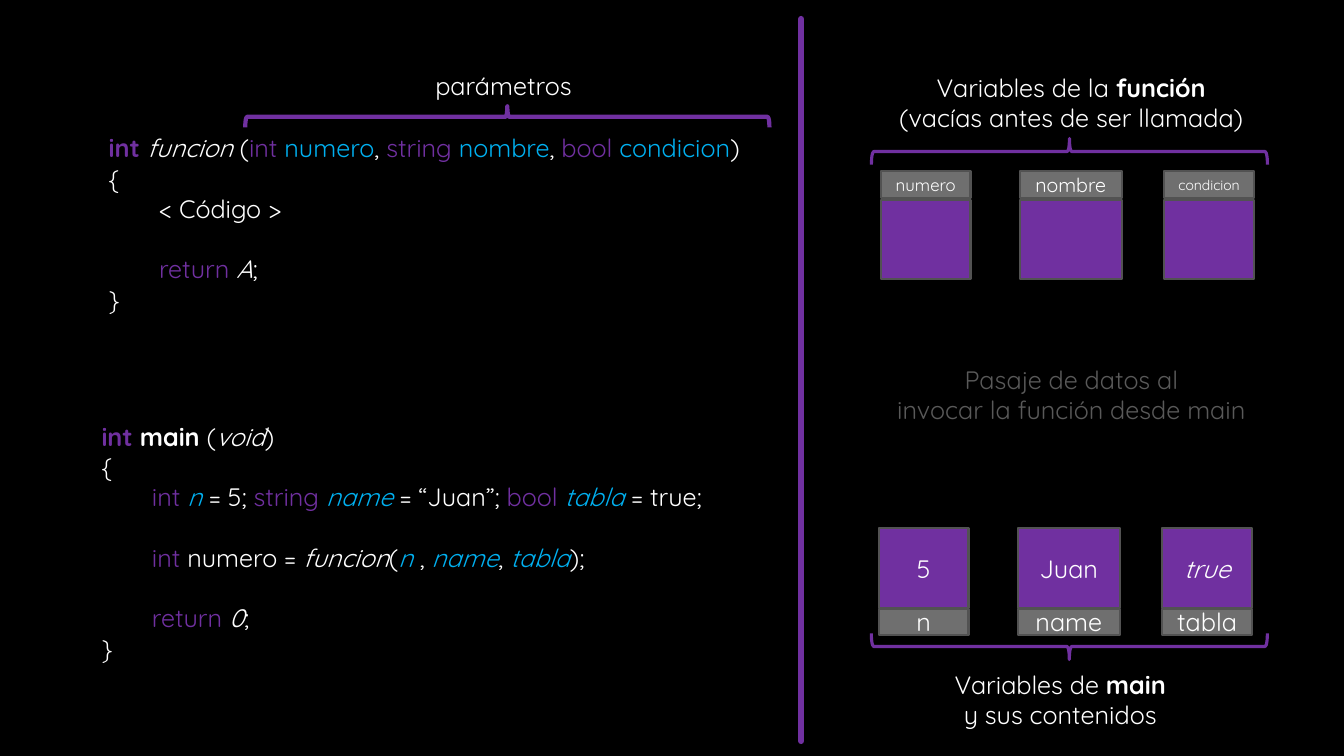
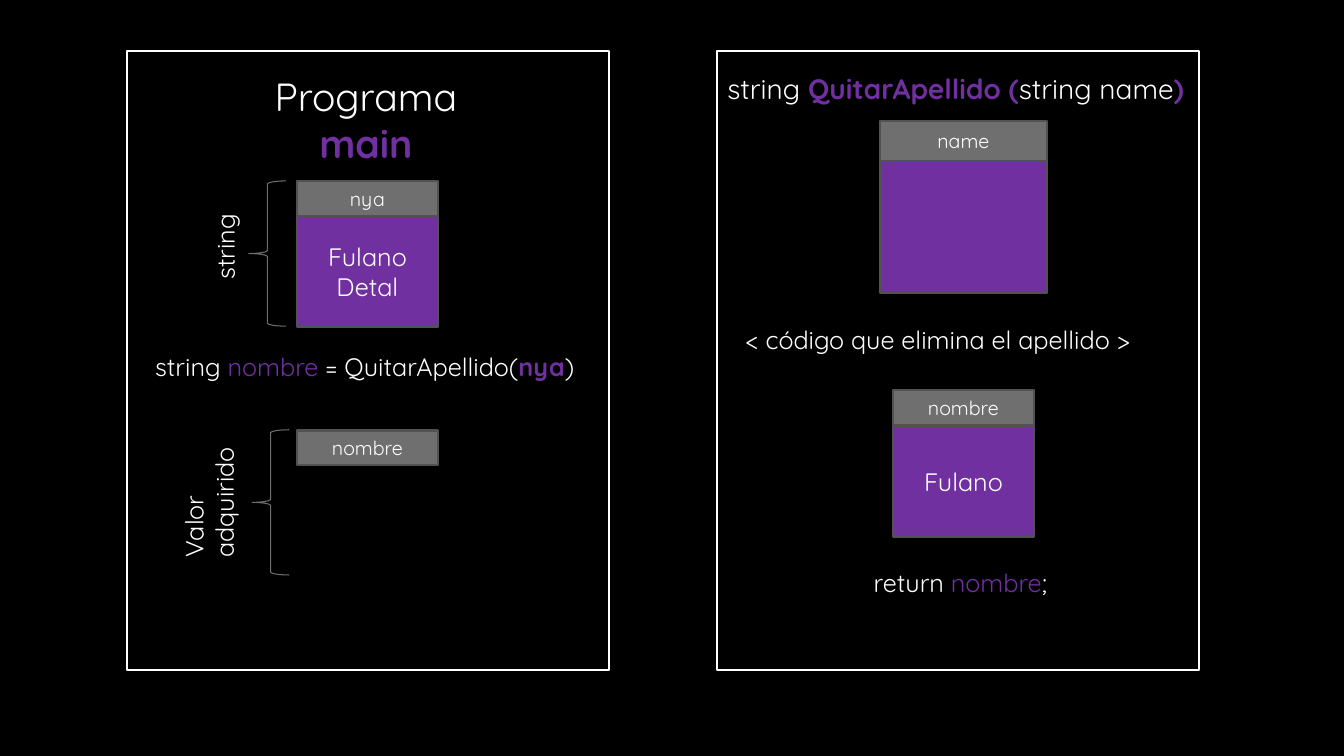
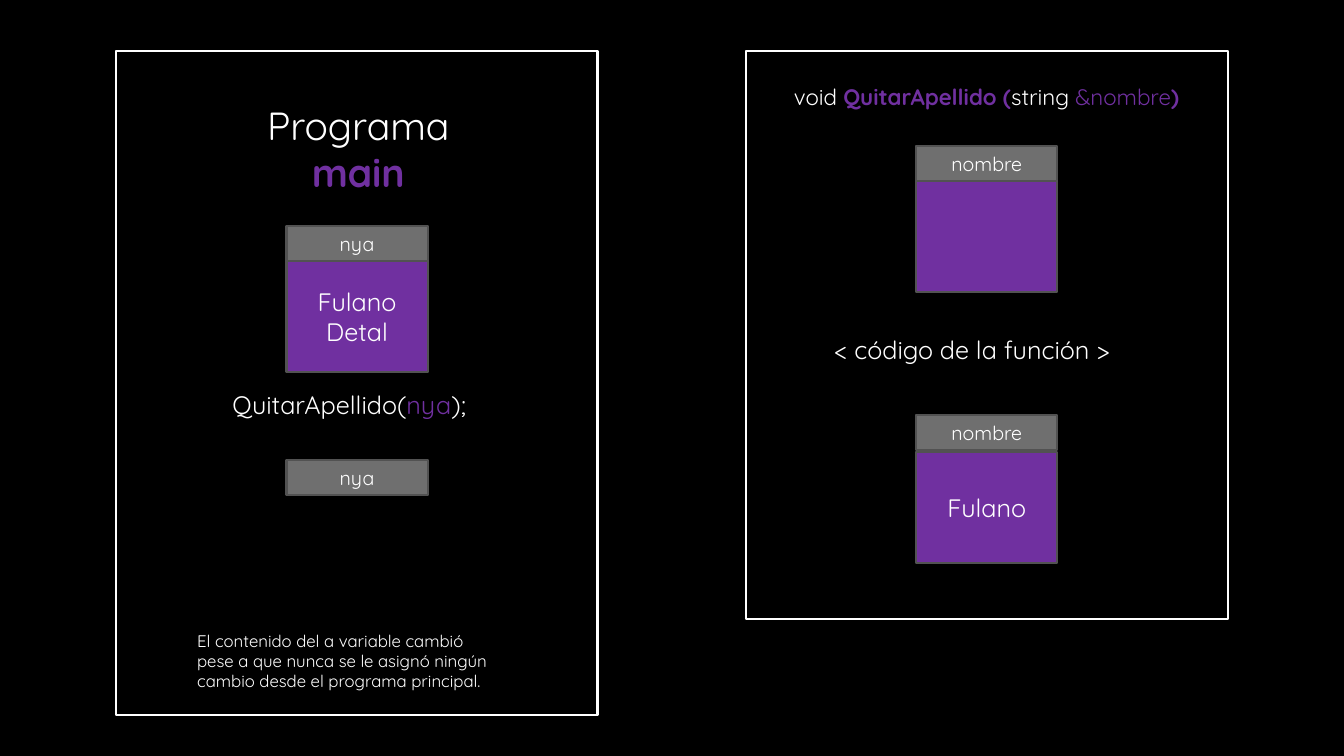
from lxml import etree
from pptx import Presentation
from pptx import util as u
from pptx.dml.color import RGBColor
from pptx.enum import shapes, text
from pptx.oxml.ns import qn

FONT = "Quicksand"
WHITE, BLACK, GREY, EDGE = "FFFFFF", "000000", "6F6F6F", "525252"
VIOLET, BLUE, DIM = "7030A0", "00B0F0", "595959"
INKS = {"v": VIOLET, "c": BLUE}
LEFT, MID = text.PP_ALIGN.LEFT, text.PP_ALIGN.CENTER
RECT, BRACE = shapes.MSO_SHAPE.RECTANGLE, shapes.MSO_SHAPE.LEFT_BRACE


def tint(part, hue):
    if hasattr(part, "solid"):
        part.solid()
        part = part.fore_color
    part.rgb = RGBColor.from_string(hue)


def cm(*sizes):
    return [u.Cm(size) for size in sizes]


def write(frame, lines, size=18, ink=WHITE, align=LEFT, deep=(), gaps=()):
    for num, line in enumerate(lines):
        para = frame.paragraphs[0] if num == 0 else frame.add_paragraph()
        para.alignment = align
        if num in deep:
            para._p.get_or_add_pPr().set("marL", str(u.Cm(1.27)))
        if num in gaps:
            para.space_before = u.Pt(21.6)
        for item in [line] if isinstance(line, str) else line:
            words, marks = (item, "") if isinstance(item, str) else item
            run = para.add_run()
            run.text = words
            font = run.font
            font.name, font.size = FONT, u.Pt(size)
            font.bold, font.italic = "b" in marks, "i" in marks
            hue = next((INKS[mark] for mark in marks if mark in INKS), ink)
            tint(font.color, hue)


def label(slide, at, lines, up=False, **style):
    frame = slide.shapes.add_textbox(*cm(*at)).text_frame
    frame.word_wrap = not up
    if up:
        frame._txBody.bodyPr.set("vert", "vert270")
    write(frame, lines, **style)


def title(slide, left, top):
    head = slide.shapes.title
    head.left, head.top, head.width, head.height = cm(left, top, 6.86, 2.64)
    frame = head.text_frame
    frame.auto_size = text.MSO_AUTO_SIZE.NONE
    frame.vertical_anchor = text.MSO_ANCHOR.TOP
    write(frame, ["Programa", [("main", "vb")]], size=28, align=MID)


def shape(slide, kind, at, fill=None, edge=EDGE, width=1.5):
    form = slide.shapes.add_shape(kind, *cm(*at))
    form.shadow.inherit = False
    if fill:
        tint(form.fill, fill)
    else:
        form.fill.background()
    tint(form.line.fill, edge)
    form.line.width = u.Pt(width)
    return form


def panel(slide, left, height):
    shape(slide, RECT, (left, 1.28, 12.14, height), edge=WHITE)


def brace(slide, at, turn=0, edge=VIOLET, width=2.25):
    shape(slide, BRACE, at, edge=edge, width=width).rotation = turn


def box(slide, at, fill, words=None, size=18):
    form = shape(slide, RECT, at, fill)
    form.text_frame.vertical_anchor = text.MSO_ANCHOR.MIDDLE
    if words:
        write(form.text_frame, [[words]], size=size, align=MID)


def tag(slide, left, top, name, width=3.56, height=0.88, size=14):
    box(slide, (left, top, width, height), GREY, name, size)


def card(slide, left, top, name, value=None, width=3.56, high=0.88,
         deep=2.79, size=14, gap=0, flip=False):
    low = top + (deep if flip else high) + gap
    box(slide, (left, top if flip else low, width, deep), VIOLET, value)
    tag(slide, left, low if flip else top, name, width, high, size)


def split(slide):
    line = slide.shapes.add_connector(
        shapes.MSO_CONNECTOR.STRAIGHT, *cm(20.19, 0.48, 20.19, 18.67))
    tint(line.line.fill, VIOLET)
    line.line.width = u.Pt(4.5)
    props = line._element.spPr
    props.find(qn("a:ln")).set("cap", "rnd")
    etree.SubElement(props, qn("a:effectLst"))


def passing(slide):
    label(slide, (22, 9.06, 10, 1.8),
          ["Pasaje de datos al", "invocar la función desde main"],
          ink=DIM, align=MID)
    label(slide, (2.49, 3.22, 17.45, 4.88), [
        [("int ", "vb"), ("funcion", "i"), " (", ("int ", "v"),
         ("numero", "c"), ", ", ("string ", "v"), ("nombre", "c"), ", ",
         ("bool ", "v"), ("condicion", "c"), ")"],
        "{",
        "< Código >",
        [("return ", "v"), ("A", "i"), ";"],
        "}"], deep=(2, 3), gaps=(3,))
    brace(slide, (12.52, -3.66, 0.53, 13.21), 90, width=3)
    label(slide, (10.72, 1.65, 4.11, 1.02), ["parámetros"])
    label(slide, (2.31, 10.49, 17.15, 6.4), [
        [("int ", "vb"), ("main", "b"), " (", ("void", "i"), ")"],
        "{",
        [("int ", "v"), ("n", "ci"), " = 5; ", ("string ", "v"),
         ("name", "ci"), " = “Juan”; ", ("bool ", "v"), ("tabla", "ci"),
         " = true;"],
        [("int", "v"), " numero = ", ("funcion", "i"), "(", ("n ", "ci"),
         ", ", ("name", "ci"), ", ", ("tabla", "ci"), ");"],
        [("return ", "v"), ("0", "i"), ";"],
        "}"], deep=(2, 3, 4), gaps=(3, 4))
    split(slide)
    for left, width, name, size, arg, value in (
            (22.2, 2.26, "numero", 12, "n", "5"),
            (25.7, 2.57, "nombre", 14, "name", "Juan"),
            (29.34, 2.26, "condicion", 10, "tabla", ("true", "i"))):
        card(slide, left, 4.32, name, None, width, 0.66, 2.01, size, 0.05)
        card(slide, left - 0.05, 13.31, arg, value, width, 0.66, 2.01, 18,
             0.02, flip=True)
    brace(slide, (26.62, -1.17, 0.66, 9.98), 90)
    brace(slide, (26.62, 11.3, 0.66, 9.98), 270)
    label(slide, (22.12, 1.7, 9.75, 1.8),
          [["Variables de la ", ("función", "b")],
           "(vacías antes de ser llamada)"], align=MID)
    label(slide, (22.72, 16.74, 8, 1.8),
          [["Variables de ", ("main", "b")], "y sus contenidos"], align=MID)


def by_value(slide):
    for left in (3.2, 18.08):
        panel(slide, left, 15.6)
    title(slide, 5.79, 1.7)
    card(slide, 7.48, 4.56, "nya", "Fulano Detal")
    brace(slide, (6.27, 4.56, 0.94, 3.66), edge=GREY, width=0.75)
    label(slide, (5.16, 5.42, 1.27, 1.88), ["string"], up=True)
    label(slide, (3.66, 8.74, 11.84, 1.02),
          [["string ", ("nombre", "v"), " = QuitarApellido(", ("nya", "vb"),
            ")"]])
    tag(slide, 7.48, 10.85, "nombre")
    brace(slide, (6.35, 10.83, 0.94, 3.66), edge=GREY, width=0.75)
    label(slide, (4.37, 11.02, 2.06, 3.28), ["Valor", "adquirido"], up=True)
    label(slide, (18.08, 1.68, 13.44, 1.1),
          [["string", (" QuitarApellido (", "vb"), "string name",
            (")", "vb")]], size=20)
    card(slide, 22.17, 3.05, "name", None, 4.22, 1.01, 3.32)
    label(slide, (18.54, 8.05, 11.18, 1.02),
          ["< código que elimina el apellido >"])
    card(slide, 22.5, 9.83, "nombre", "Fulano", gap=0.02)
    label(slide, (21.77, 14.17, 7.47, 1.02),
          [["return ", ("nombre", "v"), ";"]])


def by_ref(slide):
    panel(slide, 2.92, 16.74)
    panel(slide, 18.8, 14.33)
    title(slide, 5.6, 2.43)
    card(slide, 7.22, 5.7, "nya", "Fulano Detal")
    label(slide, (5.61, 9.68, 6.83, 1.02),
          [["QuitarApellido(", ("nya", "v"), ");"]])
    tag(slide, 7.22, 11.6, "nya")
    label(slide, (4.72, 15.76, 8.56, 1.8),
          ["El contenido del a variable cambió",
           "pese a que nunca se le asignó ningún",
           "cambio desde el programa principal."], size=12)
    label(slide, (19.46, 1.96, 10.8, 0.94),
          [["void", (" QuitarApellido (", "vb"), "string ",
            ("&nombre", "v"), (")", "vb")]], size=16, align=MID)
    card(slide, 23.09, 3.69, "nombre")
    label(slide, (20.78, 8.31, 8.2, 1.02), ["< código de la función >"])
    card(slide, 23.09, 10.46, "nombre", "Fulano", gap=0.06)


def main():
    deck = Presentation()
    deck.slide_width, deck.slide_height = cm(33.87, 19.05)
    tint(deck.slide_master.background.fill, BLACK)
    for draw, kind in ((passing, 6), (by_value, 5), (by_ref, 5)):
        draw(deck.slides.add_slide(deck.slide_layouts[kind]))
    deck.save("out.pptx")


if __name__ == "__main__":
    main()
